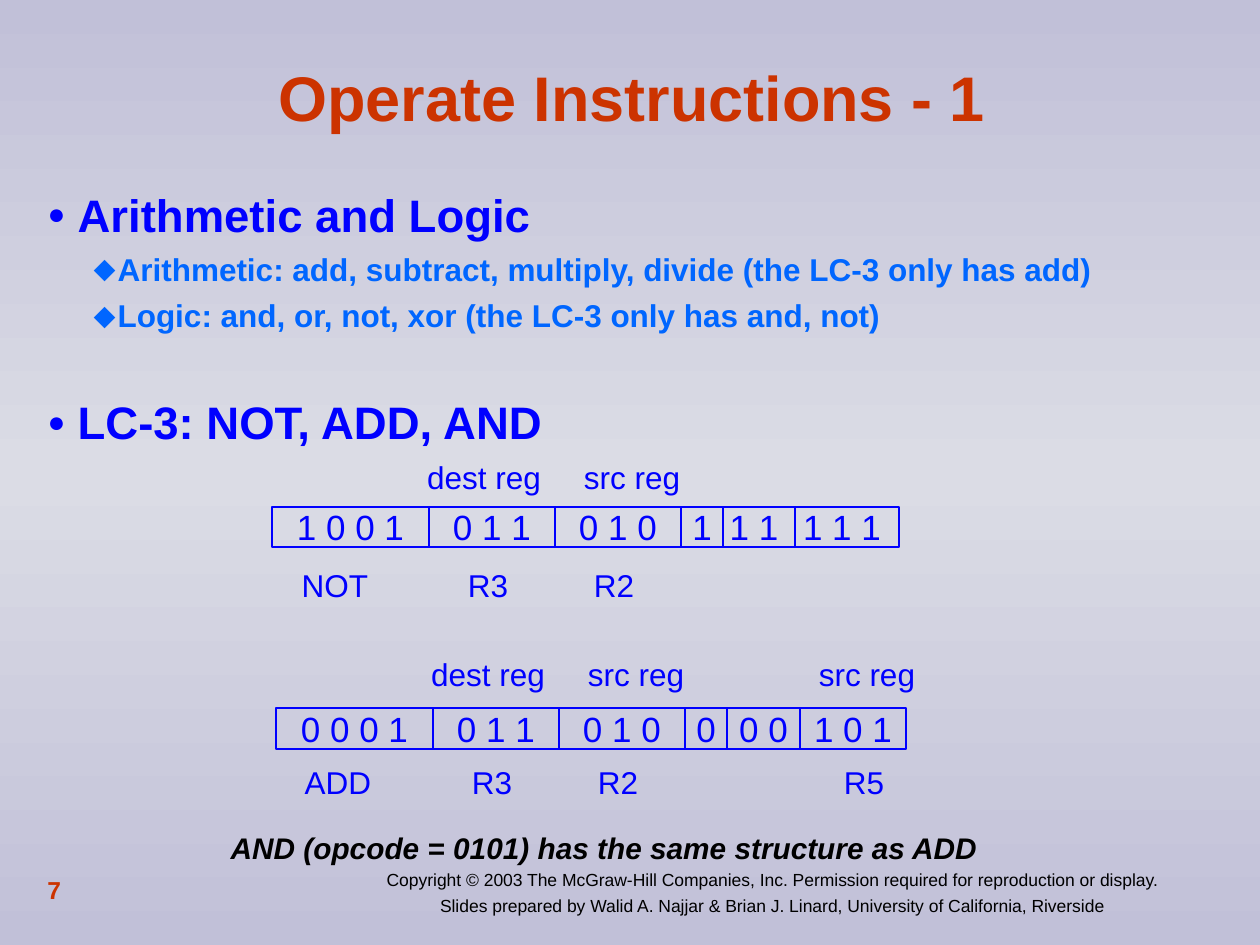
from copy import deepcopy

from lxml import etree
from pptx import Presentation
from pptx import util as u
from pptx.dml.color import RGBColor
from pptx.enum import shapes, text
from pptx.oxml.ns import qn

BLUE, SKY, RED, BLACK = "0000FF", "0066FF", "CC3300", "000000"
LEFT, CENTER = text.PP_ALIGN.LEFT, text.PP_ALIGN.CENTER


def px(n):
    return u.Emu(round(n * 914400 / 126))


def rgb(value):
    return RGBColor.from_string(value)


class Deck:
    font = "Arial"

    def __init__(self):
        self.prs = Presentation()
        self.prs.slide_width, self.prs.slide_height = px(1260), px(945)
        self.s = self.prs.slides.add_slide(self.prs.slide_layouts[1])

    def background(self, *colors):
        fill = self.s.background.fill
        fill.gradient()
        fill.gradient_angle = 90
        stops = self.s.element.find(".//" + qn("a:gsLst"))
        while len(stops) < len(colors):
            stops.append(deepcopy(stops[0]))
        for i, (stop, color) in enumerate(zip(fill.gradient_stops, colors)):
            stop.position = i / (len(colors) - 1)
            stop.color.rgb = rgb(color)

    def place(self, sp, x, y, w, h):
        sp.left, sp.top, sp.width, sp.height = px(x), px(y), px(w), px(h)

    def style(self, p, size, color, align=LEFT, bold=False, italic=False):
        p.alignment = align
        for r in p.runs:
            f = r.font
            f.name, f.size, f.bold, f.italic = self.font, u.Pt(size), bold, italic
            f.color.rgb = rgb(color)

    def title(self, words, box):
        sp = self.s.shapes.title
        self.place(sp, *box)
        tf = sp.text_frame
        tf.text = words
        tf.auto_size = text.MSO_AUTO_SIZE.NONE
        tf.vertical_anchor = text.MSO_ANCHOR.MIDDLE
        self.style(tf.paragraphs[0], 36, RED, CENTER, bold=True)

    def bullet(self, p, margin, hang, char, color, percent):
        pPr = p._p.get_or_add_pPr()
        pPr.set("marL", str(px(margin)))
        pPr.set("indent", str(-px(hang)))
        if not char:
            etree.SubElement(pPr, qn("a:buNone"))
            return
        clr = etree.SubElement(pPr, qn("a:buClr"))
        etree.SubElement(clr, qn("a:srgbClr"), val=color)
        etree.SubElement(pPr, qn("a:buSzPct"), val=str(percent * 1000))
        etree.SubElement(pPr, qn("a:buFont"), typeface=self.font)
        etree.SubElement(pPr, qn("a:buChar"), char=char)

    def body(self, items, levels, box):
        sp = self.s.placeholders[1]
        self.place(sp, *box)
        tf = sp.text_frame
        tf.auto_size = text.MSO_AUTO_SIZE.NONE
        tf.vertical_anchor = text.MSO_ANCHOR.TOP
        for i, (level, before, words) in enumerate(items):
            p = tf.add_paragraph() if i else tf.paragraphs[0]
            p.text, p.level = words, level
            size, color, italic, marker = levels[level]
            self.bullet(p, *marker)
            p.space_before = u.Pt(before)
            self.style(p, size, color, bold=True, italic=italic)

    def label(self, lines, box, size, color, align=CENTER, bold=False,
              anchor=text.MSO_ANCHOR.TOP, wrap=False):
        sp = self.s.shapes.add_textbox(*map(px, box))
        tf = sp.text_frame
        tf.text = lines
        tf.word_wrap = wrap
        tf.vertical_anchor = anchor
        for i, p in enumerate(tf.paragraphs):
            p.space_before = u.Pt(2.5 if i else 0)
            self.style(p, size, color, align, bold)

    def cell(self, bits, box, pad_right=0):
        sp = self.s.shapes.add_shape(shapes.MSO_SHAPE.RECTANGLE, *map(px, box))
        sp.shadow.inherit = False
        sp.fill.background()
        sp.line.color.rgb = rgb(BLUE)
        sp.line.width = u.Pt(0.75)
        tf = sp.text_frame
        tf.text = bits
        tf.word_wrap = False
        tf.vertical_anchor = text.MSO_ANCHOR.MIDDLE
        tf.margin_left, tf.margin_right = 0, px(pad_right)
        self.style(tf.paragraphs[0], 20, BLUE, CENTER)

    def instruction(self, x, y, h, fields, label_top, above, below):
        """One row of bit fields with captions centred above and below."""
        left = x
        for bits, w, pad in fields:
            self.cell(bits, (left, y, w, h), pad)
            left += w
        for top, captions in ((label_top, above), (label_top + 108, below)):
            for words, center, w in captions:
                self.label(words, (x + center - w / 2, top, w, 50), 18, BLUE)


def main():
    d = Deck()
    d.background("C1C0D8", "DBDCE5", "C1C0D8")

    # Title and list
    d.title("Operate Instructions - 1", (65, 56, 1134, 81))
    levels = [
        (26, BLUE, False, (30, 30, "●", BLUE, 65)),
        (18, SKY, False, (70, 24, "⬥", SKY, 100)),
        (17, BLACK, True, (183, 0, None, None, None)),
    ]
    d.body([
        (0, 0, "Arithmetic and Logic"),
        (1, 4.5, "Arithmetic: add, subtract, multiply, divide (the LC-3 only has add)"),
        (1, 5, "Logic: and, or, not, xor (the LC-3 only has and, not)"),
        (0, 34.5, "LC-3: NOT, ADD, AND"),
        (2, 217.5, "AND (opcode = 0101) has the same structure as ADD"),
    ], levels, (35, 181, 1197, 693))

    # Instruction formats: captions are (words, centre from row start, width)
    above = [("dest reg", 212, 145), ("src reg", 360, 130)]
    below = [("R3", 216, 70), ("R2", 342, 70)]
    d.instruction(272, 507, 40, [
        ("1 0 0 1", 157, 0), ("0 1 1", 126, 0), ("0 1 0", 126, 0),
        ("1", 42, 0), ("1 1", 72, 10), ("1 1 1", 104, 10),
    ], 452, above, [("NOT", 63, 100)] + below)
    d.instruction(276, 708, 41, [
        ("0 0 0 1", 157, 0), ("0 1 1", 126, 0), ("0 1 0", 126, 0),
        ("0", 42, 0), ("0 0", 73, 0), ("1 0 1", 106, 0),
    ], 649, above + [("src reg", 591, 130)],
        [("ADD", 62, 100)] + below + [("R5", 588, 70)])

    # Footer
    middle = text.MSO_ANCHOR.MIDDLE
    d.label("Copyright © 2003 The McGraw-Hill Companies, Inc. "
            "Permission required for reproduction or display.\n"
            "Slides prepared by Walid A. Najjar & Brian J. Linard, "
            "University of California, Riverside",
            (326, 863, 892, 59), 10, BLACK, anchor=middle, wrap=True)
    d.label("7", (35, 858, 262, 63), 14, RED, LEFT, True, middle, True)

    d.prs.save("out.pptx")


if __name__ == "__main__":
    main()
